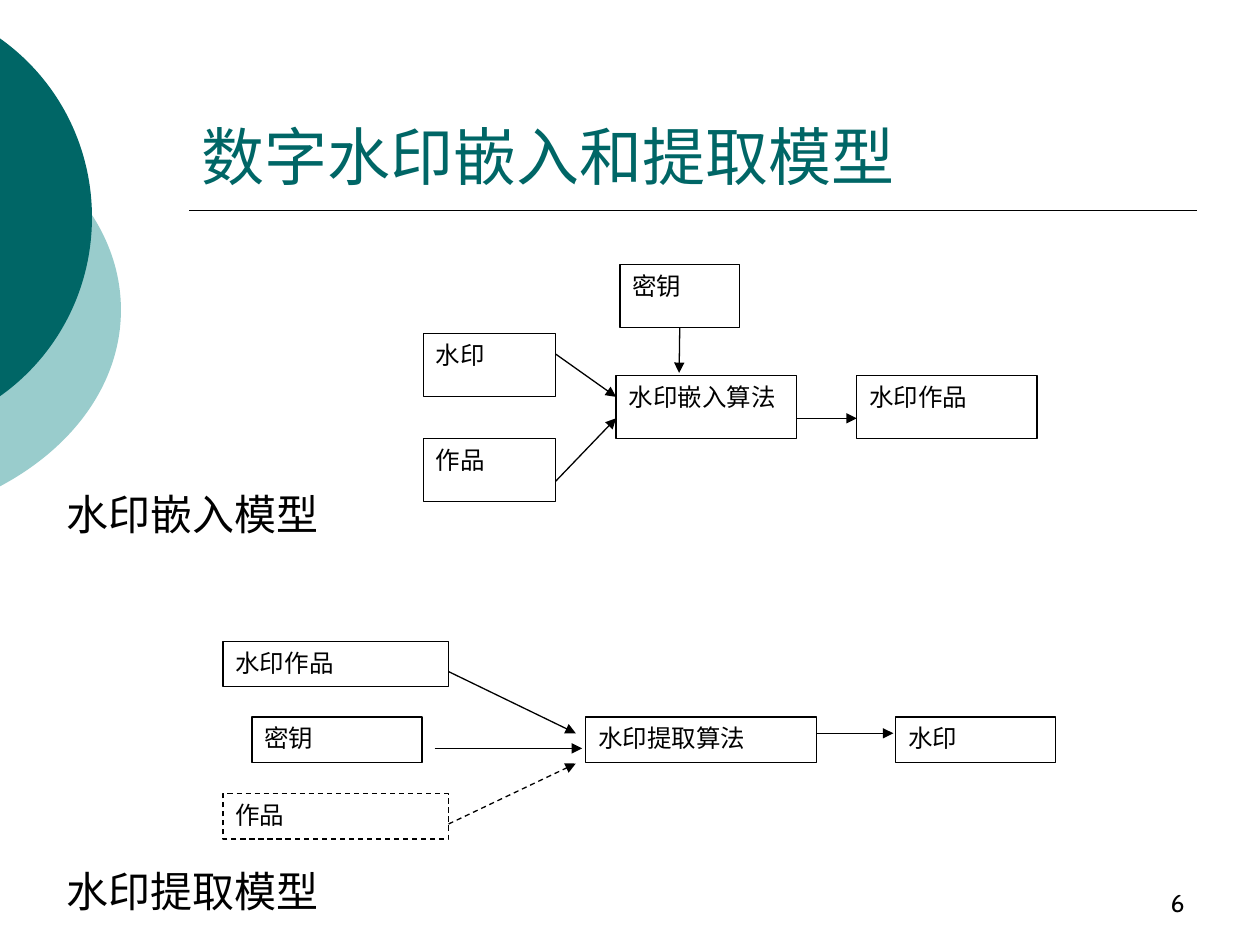
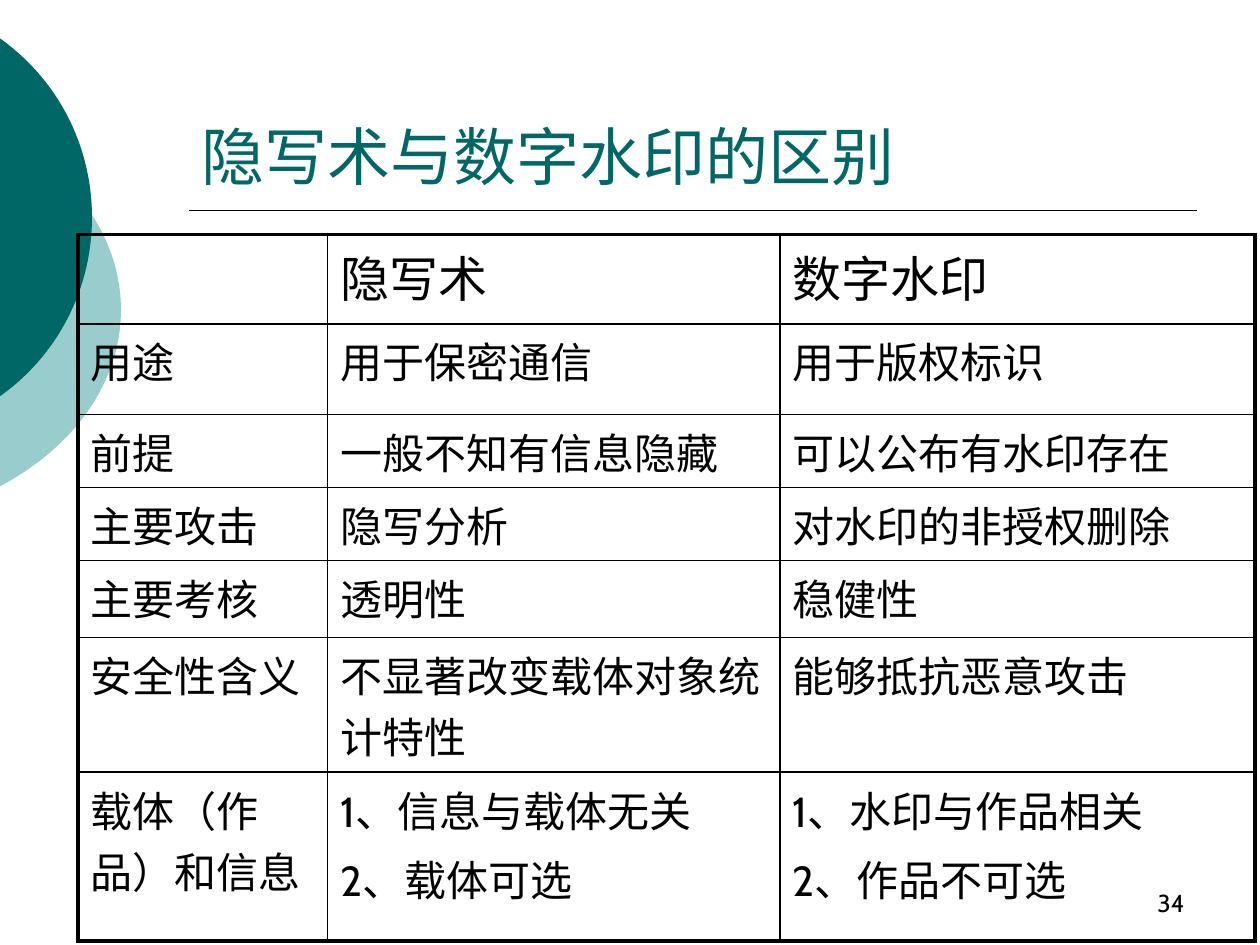
from dataclasses import dataclass

from pptx import Presentation
from pptx.dml.color import RGBColor as Rgb
from pptx.enum.dml import MSO_LINE as Dash
from pptx.enum.shapes import MSO_CONNECTOR as Link, MSO_SHAPE as Form
from pptx.enum.text import MSO_ANCHOR as Anchor, PP_ALIGN as Align
from pptx.oxml.ns import qn
from pptx.oxml.xmlchemy import OxmlElement as Element
from pptx.util import Inches, Pt


@dataclass(frozen=True)
class Theme:
    teal: str = "006666"
    pale: str = "99CCCC"
    ink: str = "000000"
    paper: str = "FFFFFF"
    head: str = "Arial"
    body: str = "Cabin"
    serif: str = "Times New Roman"
    sans: str = "DejaVu Sans"
    title: int = 36
    top: int = 28
    text: int = 24
    small: int = 14
    thin: float = 0.75
    rule: float = 1
    edge: float = 2.25


THEME = Theme()

# Parts: name, left, top, width, height, text, font, dashed
EMBED = [
    ("key", 4.49, 0, 0.95, 0.5, "密钥", THEME.serif, False),
    ("work", 2.93, 1.38, 1.05, 0.5, "作品", THEME.serif, False),
    ("mark", 2.93, 0.55, 1.05, 0.5, "水印", THEME.serif, False),
    ("method", 4.46, 0.88, 1.43, 0.5, "水印嵌入算法", THEME.serif, False),
    ("result", 6.37, 0.88, 1.43, 0.5, "水印作品", THEME.serif, False),
]
EXTRACT = [
    ("input", 1.34, 0, 1.79, 0.36, "水印作品", THEME.sans, False),
    ("key", 1.57, 0.6, 1.35, 0.36, "密钥", THEME.serif, False),
    ("method", 4.22, 0.6, 1.83, 0.36, "水印提取算法", THEME.serif, False),
    ("result", 6.68, 0.6, 1.27, 0.36, "水印", THEME.serif, False),
    ("work", 1.34, 1.21, 1.79, 0.36, "作品", THEME.serif, True),
]
# Arrows: start x, y, end x, y, dashed, part whose bottom it leaves
EMBED_FLOW = [
    (4.96, 0.5, 4.96, 0.86, False, "key"),
    (5.89, 1.22, 6.37, 1.22, False, None),
    (3.98, 0.71, 4.46, 1.05, False, None),
    (3.98, 1.72, 4.46, 1.22, False, None),
]
EXTRACT_FLOW = [
    (3.02, 0.85, 4.19, 0.85, False, None),
    (6.05, 0.73, 6.66, 0.73, False, None),
    (3.13, 0.24, 4.14, 0.73, False, None),
    (3.13, 1.45, 4.14, 0.97, True, None),
]
ROWS = [
    ("", "隐写术", "数字水印"),
    ("用途", "用于保密通信", "用于版权标识"),
    ("前提", "一般不知有信息隐藏", "可以公布有水印存在"),
    ("主要攻击", "隐写分析", "对水印的非授权删除"),
    ("主要考核", "透明性", "稳健性"),
    ("安全性含义", "不显著改变载体对象统计特性", "能够抵抗恶意攻击"),
    ("载体（作品）和信息", "1、信息与载体无关\n2、载体可选", "1、水印与作品相关\n2、作品不可选"),
]
WIDTHS = (1.98, 3.59, 3.77)
HEIGHTS = (0.71, 0.72, 0.58, 0.58, 0.61, 1.07, 1.34)


def color(code):
    return Rgb.from_string(code)


def write(frame, text, size, font, ink=THEME.ink, align=None, gap=0):
    """Fill a text frame; gap is the space before, as a share of the size."""
    frame.text = text
    for para in frame.paragraphs:
        para.alignment = align
        if gap:
            para.space_before = Pt(round(size * gap, 1))
        for run in para.runs:
            run.font.size = Pt(size)
            run.font.name = font
            run.font.color.rgb = color(ink)


def label(slide, box, text, size, font, wrap=True, anchor=Anchor.TOP, **style):
    frame = slide.shapes.add_textbox(*map(Inches, box)).text_frame
    frame.word_wrap = wrap
    frame.vertical_anchor = anchor
    write(frame, text, size, font, **style)


def stroke(line, width, dashed=False):
    line.color.rgb = color(THEME.ink)
    line.width = Pt(width)
    if dashed:
        line.dash_style = Dash.DASH


def link(slide, ends, width, dashed=False, arrow=True):
    line = slide.shapes.add_connector(Link.STRAIGHT, *map(Inches, ends))
    stroke(line.line, width, dashed)
    props = line._element.spPr
    if arrow:
        tip = Element("a:tailEnd")
        tip.set("type", "triangle")
        props.find(qn("a:ln")).append(tip)
    props.append(Element("a:effectLst"))
    return line


def draw(outline, tag, points=()):
    """Add one drawing step to a freeform outline, with points in inches."""
    step = Element(tag)
    for x, y in points:
        point = Element("a:pt")
        point.set("x", str(Inches(x)))
        point.set("y", str(Inches(y)))
        step.append(point)
    outline.append(step)


def disc(slide, box, half, fill):
    """Draw a disc cut off at the slide's left edge, half high above its middle."""
    left, top, width, height = box
    mid, cut = height / 2, -left
    bulge = width - cut
    inner = cut + 0.63 * bulge
    pen = slide.shapes.build_freeform(Inches(left), Inches(top))
    corner = (Inches(left + width), Inches(top + height))
    shape = pen.add_line_segments([corner]).convert_to_shape()
    outline = next(shape._element.iter(qn("a:path")))
    for step in list(outline):
        outline.remove(step)
    draw(outline, "a:moveTo", [(cut, mid - half)])
    draw(outline, "a:cubicBezTo",
         [(inner, mid - 0.77 * half), (width, mid - 0.4 * half), (width, mid)])
    draw(outline, "a:cubicBezTo",
         [(width, mid + 0.4 * half), (inner, mid + 0.77 * half), (cut, mid + half)])
    draw(outline, "a:close")
    shape.shadow.inherit = False
    shape.fill.solid()
    shape.fill.fore_color.rgb = color(fill)
    shape.line.fill.background()


def base(deck, title, number):
    """Add a slide with the discs, title, rule and page number."""
    slide = deck.slides.add_slide(deck.slide_layouts[6])
    disc(slide, (-3.54, 0.75, 4.5, 3.42), 1.4, THEME.pale)
    disc(slide, (-2.65, 0, 3.38, 3.45), 1.42, THEME.teal)
    link(slide, (1.5, 1.67, 9.5, 1.67), THEME.rule, arrow=False)
    label(slide, (1.5, 0.33, 8, 1.25), title, THEME.title, THEME.head,
          anchor=Anchor.BOTTOM, ink=THEME.teal)
    label(slide, (7.17, 6.83, 2.33, 0.5), str(number), THEME.small, THEME.body,
          anchor=Anchor.BOTTOM, align=Align.RIGHT)
    return slide


def node(slide, box, text, font, dashed):
    shape = slide.shapes.add_shape(Form.RECTANGLE, *map(Inches, box))
    shape.shadow.inherit = False
    shape.fill.solid()
    shape.fill.fore_color.rgb = color(THEME.paper)
    stroke(shape.line, THEME.thin, dashed)
    frame = shape.text_frame
    frame.word_wrap = True
    frame.vertical_anchor = Anchor.TOP
    write(frame, text, THEME.small, font, align=Align.JUSTIFY)
    return shape


def model(slide, left, top, parts, flow, title):
    """Draw a flow diagram with its caption at the lower left."""
    nodes = {}
    for name, x, y, width, height, text, font, dashed in parts:
        box = (left + x, top + y, width, height)
        nodes[name] = node(slide, box, text, font, dashed)
    for x1, y1, x2, y2, dashed, source in flow:
        ends = (left + x1, top + y1, left + x2, top + y2)
        arrow = link(slide, ends, THEME.thin, dashed)
        if source:
            arrow.begin_connect(nodes[source], 2)
    label(slide, (left, top + 1.73, 2.2, 0.5), title, THEME.text, THEME.body,
          wrap=False)


def border(cell, widths):
    """Set the left, right, top and bottom lines of a cell."""
    props = cell._tc.get_or_add_tcPr()
    for side, width in zip("LRTB", widths):
        line = Element(f"a:ln{side}")
        line.set("w", str(Pt(width)))
        fill = Element("a:solidFill")
        tint = Element("a:srgbClr")
        tint.set("val", THEME.ink)
        fill.append(tint)
        line.append(fill)
        props.append(line)


def grid(slide, left, top):
    box = (left, top, sum(WIDTHS), sum(HEIGHTS))
    table = slide.shapes.add_table(len(ROWS), len(WIDTHS), *map(Inches, box)).table
    table.first_row = table.horz_banding = False
    for col, width in zip(table.columns, WIDTHS):
        col.width = Inches(width)
    for row, height in zip(table.rows, HEIGHTS):
        row.height = Inches(height)
    for r, texts in enumerate(ROWS):
        for c, text in enumerate(texts):
            cell = table.cell(r, c)
            outer = (c == 0, c == len(WIDTHS) - 1, r == 0, r == len(ROWS) - 1)
            border(cell, [THEME.edge if out else THEME.rule for out in outer])
            cell.fill.background()
            size = THEME.text if r else THEME.top
            write(cell.text_frame, text, size, THEME.body, gap=0.2)


def main():
    deck = Presentation()
    deck.slide_width, deck.slide_height = Inches(10), Inches(7.5)
    models = base(deck, "数字水印嵌入和提取模型", 6)
    model(models, 0.43, 2.1, EMBED, EMBED_FLOW, "水印嵌入模型")
    model(models, 0.43, 5.09, EXTRACT, EXTRACT_FLOW, "水印提取模型")
    contrast = base(deck, "隐写术与数字水印的区别", 34)
    grid(contrast, 0.62, 1.86)
    deck.save("out.pptx")


if __name__ == "__main__":
    main()
